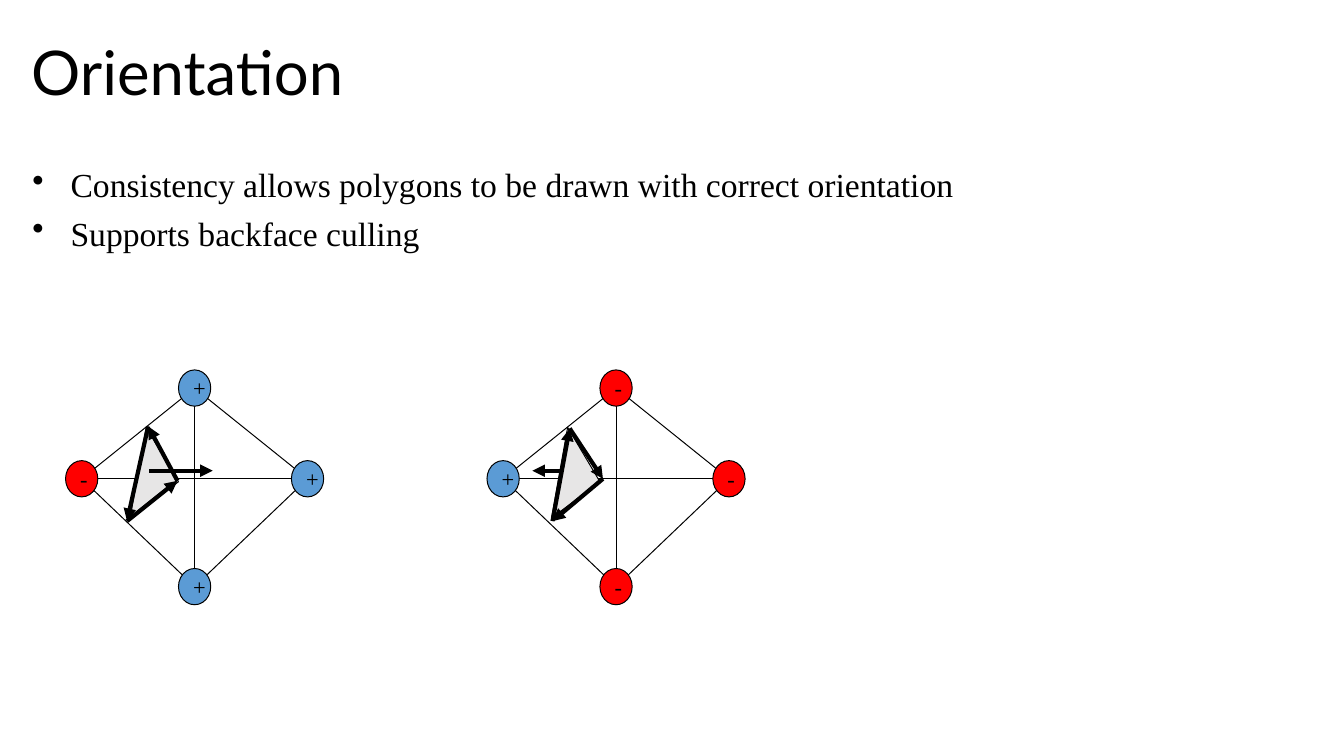
from dataclasses import dataclass

from lxml.etree import SubElement
from pptx import Presentation
from pptx.dml.color import RGBColor
from pptx.enum.shapes import MSO_CONNECTOR, MSO_SHAPE
from pptx.enum.text import MSO_ANCHOR, PP_ALIGN
from pptx.oxml.ns import qn
from pptx.util import Inches, Pt


@dataclass(frozen=True)
class Theme:
    ink: str = "000000"
    positive: str = "5B9BD5"
    negative: str = "FF0000"
    surface: str = "E7E6E6"
    title_font: str = "Lato"
    body_font: str = "Times New Roman"
    title_size: float = 44
    body_size: float = 24
    sign_size: float = 16
    thin: float = 0.72
    thick: float = 3


@dataclass(frozen=True)
class Tetrahedron:
    center_x: float
    left_sign: str
    other_sign: str
    winding: tuple
    normal: tuple
    normal_behind: bool


class SlideBuilder:
    def __init__(self, slide, theme):
        self.shapes = slide.shapes
        self.theme = theme

    def set_frame(self, frame, left=0.0, top=0.0, anchor=MSO_ANCHOR.TOP):
        frame.word_wrap = True
        frame.vertical_anchor = anchor
        frame.margin_left, frame.margin_top = Inches(left), Inches(top)
        frame.margin_right = frame.margin_bottom = 0

    def add_run(self, paragraph, text, font, size):
        run = paragraph.add_run()
        run.text = text
        run.font.name = font
        run.font.size = Pt(size)
        run.font.color.rgb = RGBColor.from_string(self.theme.ink)

    def outline(self, shape, fill):
        shape.shadow.inherit = False
        shape.fill.solid()
        shape.fill.fore_color.rgb = RGBColor.from_string(fill)
        shape.line.color.rgb = RGBColor.from_string(self.theme.ink)
        shape.line.width = Pt(self.theme.thin)

    def text_box(self, left, top, width, height, anchor):
        box = self.shapes.add_textbox(Inches(left), Inches(top), Inches(width), Inches(height))
        self.set_frame(box.text_frame, top=0.02, anchor=anchor)
        return box.text_frame

    def title(self, text):
        heading = self.text_box(0.31, 0.31, 4.32, 0.76, MSO_ANCHOR.MIDDLE)
        self.add_run(heading.paragraphs[0], text, self.theme.title_font, self.theme.title_size)

    def bullets(self, points):
        body = self.text_box(0.31, 1.61, 10.58, 0.91, MSO_ANCHOR.TOP)
        for index, point in enumerate(points):
            paragraph = body.add_paragraph() if index else body.paragraphs[0]
            if index:
                paragraph.space_before = Pt(5.8)
            properties = paragraph._p.get_or_add_pPr()
            properties.set("marL", str(Inches(0.39)))
            properties.set("indent", str(Inches(-0.38)))
            SubElement(properties, qn("a:buChar")).set("char", "•")
            self.add_run(paragraph, point, self.theme.body_font, self.theme.body_size)

    def line(self, start, end, width, arrow=False):
        connector = self.shapes.add_connector(
            MSO_CONNECTOR.STRAIGHT, *(Inches(value) for value in (*start, *end)))
        connector.line.color.rgb = RGBColor.from_string(self.theme.ink)
        connector.line.width = Pt(width)
        properties = connector._element.spPr
        if arrow:
            SubElement(connector.line._get_or_add_ln(), qn("a:tailEnd")).set("type", "triangle")
        SubElement(properties, qn("a:effectLst"))

    def node(self, center, sign):
        width, height = 0.32, 0.36
        vertex = self.shapes.add_shape(
            MSO_SHAPE.OVAL, Inches(center[0] - width / 2), Inches(center[1] - height / 2),
            Inches(width), Inches(height))
        self.outline(vertex, self.theme.positive if sign == "+" else self.theme.negative)
        self.set_frame(vertex.text_frame, left=0.1, anchor=MSO_ANCHOR.MIDDLE)
        paragraph = vertex.text_frame.paragraphs[0]
        paragraph.alignment = PP_ALIGN.LEFT
        self.add_run(paragraph, sign, self.theme.body_font, self.theme.sign_size)

    def polygon(self, corners):
        points = [(Inches(x), Inches(y)) for x, y in corners]
        builder = self.shapes.build_freeform(*points[0])
        builder.add_line_segments(points[1:], close=True)
        self.outline(builder.convert_to_shape(), self.theme.surface)

    def tetrahedron(self, cell):
        def place(point):
            return cell.center_x + point[0], 4.75 + point[1]

        def draw_normal():
            self.line(*map(place, cell.normal), self.theme.thick, arrow=True)

        top, right, bottom, left = map(place, ((0, -0.9), (1.12, 0), (0, 1.07), (-1.12, 0)))
        edges = ((top, bottom), (top, right), (bottom, right),
                 (bottom, left), (top, left), (left, right))
        if cell.normal_behind:
            draw_normal()
        for start, end in edges:
            self.line(start, end, self.theme.thin)
        for vertex in (right, top, bottom):
            self.node(vertex, cell.other_sign)
        self.node(left, cell.left_sign)
        self.polygon(map(place, ((-0.48, -0.51), (-0.16, 0.03), (-0.64, 0.39))))
        corners = [place(point) for point in cell.winding]
        for start, end in zip(corners, corners[1:] + corners[:1]):
            self.line(start, end, self.theme.thick, arrow=True)
        if not cell.normal_behind:
            draw_normal()


def main():
    presentation = Presentation()
    presentation.slide_width, presentation.slide_height = Inches(13.33), Inches(7.5)
    slide = presentation.slides.add_slide(presentation.slide_layouts[6])
    builder = SlideBuilder(slide, Theme())
    builder.title("Orientation")
    builder.bullets((
        "Consistency allows polygons to be drawn with correct orientation",
        "Supports backface culling",
    ))
    cells = (
        Tetrahedron(1.93, "-", "+", ((-0.17, 0.02), (-0.46, -0.52), (-0.67, 0.42)),
                    ((-0.45, -0.08), (0.18, -0.08)), False),
        Tetrahedron(6.11, "+", "-", ((-0.63, 0.42), (-0.46, -0.5), (-0.13, 0)),
                    ((-0.54, -0.08), (-0.83, -0.08)), True),
    )
    for cell in cells:
        builder.tetrahedron(cell)
    presentation.save("out.pptx")


if __name__ == "__main__":
    main()
